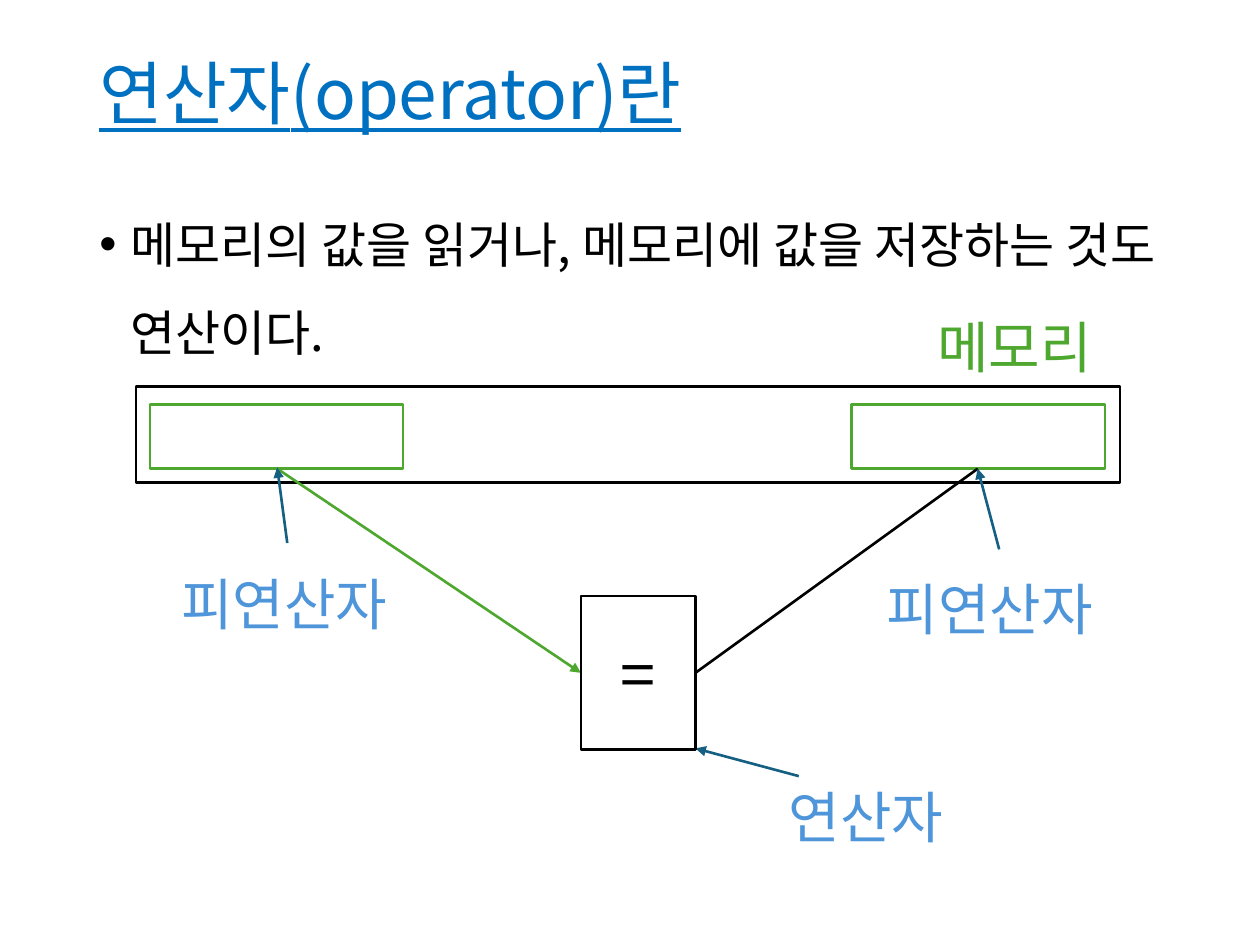
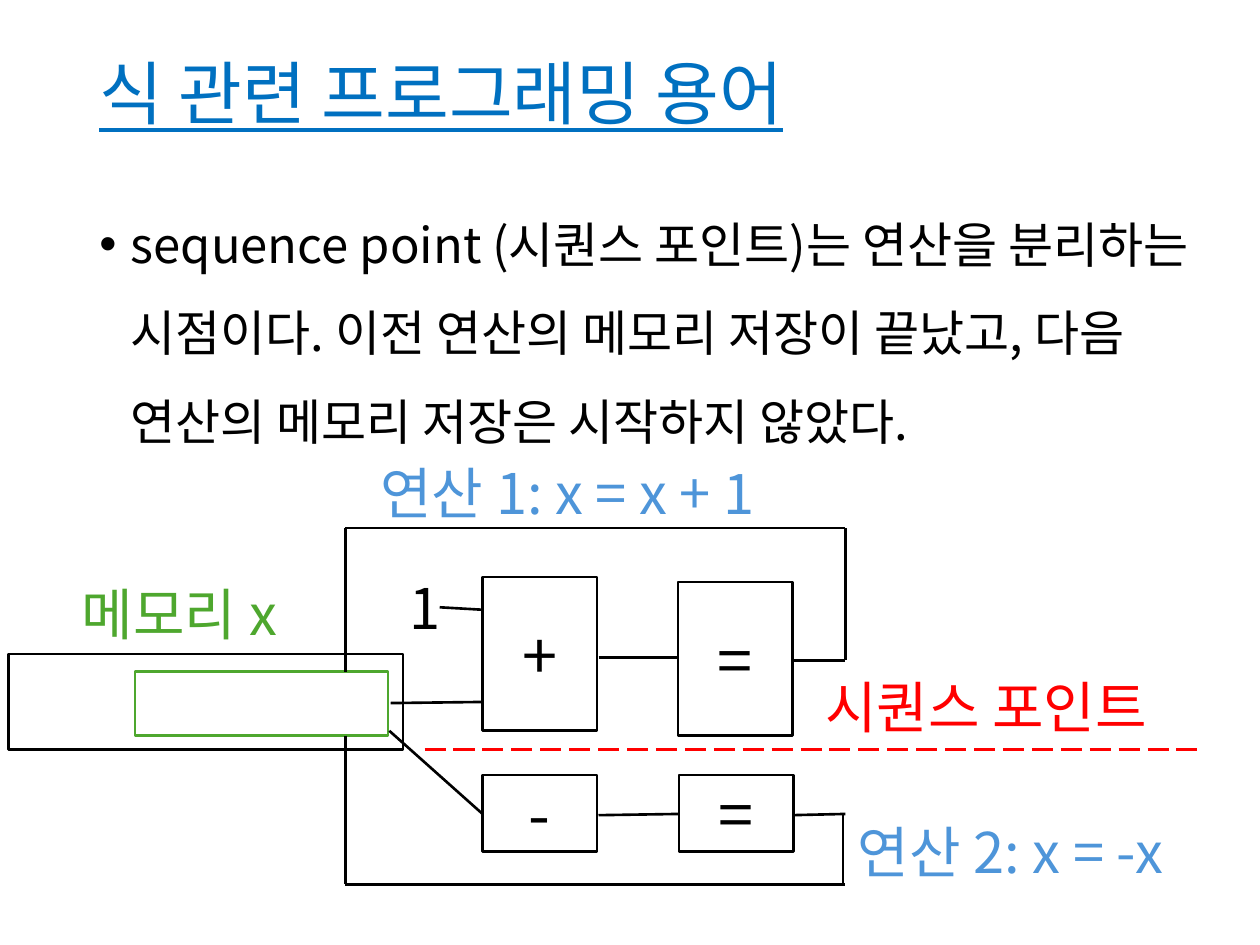
"""Build two slides explaining operators, operands and sequence points."""
import pptx
import pptx.dml.color
import pptx.enum.dml
import pptx.enum.shapes
import pptx.enum.text
import pptx.oxml.ns
import pptx.util
from lxml import etree
from pptx.util import Inches, Pt

RGBColor = pptx.dml.color.RGBColor
ANCHOR = pptx.enum.text.MSO_ANCHOR
qn = pptx.oxml.ns.qn

FONT = "Noto Sans CJK KR"
BLACK = RGBColor(0x00, 0x00, 0x00)
WHITE = RGBColor(0xFF, 0xFF, 0xFF)
TITLE_BLUE = RGBColor(0x00, 0x70, 0xC0)
LABEL_BLUE = RGBColor(0x4E, 0x95, 0xD9)
POINTER_BLUE = RGBColor(0x15, 0x60, 0x82)
GREEN = RGBColor(0x4E, 0xA7, 0x2E)
RED = RGBColor(0xFF, 0x00, 0x00)

CELL_SIZE = (2.01, 0.51)
MEMORY_HEIGHT = 0.76
OPERATOR_WIDTH = 0.91
LABEL_HEIGHT = 0.64


def write(frame, text, size, colour):
    frame.text = text
    paragraph = frame.paragraphs[0]
    font = paragraph.runs[0].font
    font.name = FONT
    font.size = Pt(size)
    font.color.rgb = colour
    east_asian = etree.SubElement(paragraph.runs[0]._r.rPr, qn("a:ea"))
    east_asian.set("typeface", FONT)
    return paragraph


def draw_box(slide, left, top, width, height, outline, filled):
    box = slide.shapes.add_shape(
        pptx.enum.shapes.MSO_SHAPE.RECTANGLE,
        Inches(left), Inches(top), Inches(width), Inches(height))
    box.shadow.inherit = False
    if filled:
        box.fill.solid()
        box.fill.fore_color.rgb = WHITE
    else:
        box.fill.background()
    box.line.color.rgb = outline
    box.line.width = Pt(1.5)
    return box


topics = [
    {
        "title": "연산자(operator)란",
        "point": "메모리의 값을 읽거나, 메모리에 값을 저장하는 것도 연산이다.",
        "memory": (1.08, 3.07, 7.81),
        "cells": [(1.19, 3.21), (6.76, 3.21)],
        "operators": [("=", 4.61, 4.73, 1.22)],
        "wires": [((5.52, 5.34), (7.76, 3.72))],
        "arrows": [
            ((2.2, 3.72), (4.61, 5.34), GREEN),
            ((6.34, 6.16), (5.52, 5.94), POINTER_BLUE),
            ((7.93, 4.36), (7.76, 3.72), POINTER_BLUE),
            ((2.28, 4.31), (2.2, 3.71), POINTER_BLUE),
        ],
        "dividers": [],
        "labels": [
            ("피연산자", 1.34, 4.47, 2, LABEL_BLUE),
            ("피연산자", 6.94, 4.51, 2, LABEL_BLUE),
            ("연산자", 6.16, 6.16, 1.55, LABEL_BLUE),
            ("메모리", 7.34, 2.43, 1.55, GREEN),
        ],
    },
    {
        "title": "식 관련 프로그래밍 용어",
        "point": "sequence point (시퀀스 포인트)는 연산을 분리하는 시점이다. "
                 "이전 연산의 메모리 저장이 끝났고, 다음 연산의 메모리 저장은 "
                 "시작하지 않았다.",
        "memory": (0.07, 5.19, 3.13),
        "cells": [(1.07, 5.33)],
        "operators": [
            ("+", 3.83, 4.58, 1.22), ("=", 5.38, 4.62, 1.22),
            ("-", 3.83, 6.15, 0.61), ("=", 5.39, 6.15, 0.61),
        ],
        "wires": [
            ((3.1, 5.58), (3.94, 5.57)), ((3.49, 4.82), (3.84, 4.84)),
            ((4.75, 5.22), (5.39, 5.22)), ((6.29, 5.24), (6.71, 5.24)),
            ((6.71, 5.24), (6.71, 4.19)), ((2.74, 4.19), (6.71, 4.19)),
            ((2.74, 5.33), (2.74, 4.19)),
            ((3.09, 5.8), (3.83, 6.46)), ((4.75, 6.47), (5.39, 6.46)),
            ((6.28, 6.47), (6.71, 6.46)), ((6.69, 6.46), (6.69, 7.02)),
            ((2.74, 7.02), (6.71, 7.02)), ((2.74, 5.84), (2.74, 7.02)),
        ],
        "arrows": [],
        "dividers": [((3.37, 5.95), (9.5, 5.95))],
        "labels": [
            ("메모리 x", 0.55, 4.55, 1.91, GREEN),
            ("연산 1: x = x + 1", 2.92, 3.59, 3.68, LABEL_BLUE),
            ("1", 3.15, 4.5, 0.45, BLACK),
            ("시퀀스 포인트", 6.45, 5.29, 3.05, RED),
            ("연산 2: x = -x", 6.71, 6.44, 2.99, LABEL_BLUE),
        ],
    },
]

deck = pptx.Presentation()
deck.slide_width = Inches(10)
deck.slide_height = Inches(7.5)

for topic in topics:
    slide = deck.slides.add_slide(deck.slide_layouts[6])

    title = slide.shapes.add_textbox(
        Inches(0.69), Inches(0.4), Inches(9.03), Inches(0.74)).text_frame
    title.word_wrap = True
    title.vertical_anchor = ANCHOR.MIDDLE
    heading = write(title, topic["title"], 39.6, TITLE_BLUE)
    heading.line_spacing = 0.9
    heading.runs[0].font.underline = True

    body = slide.shapes.add_textbox(
        Inches(0.69), Inches(1.42), Inches(8.86), Inches(6.08)).text_frame
    body.word_wrap = True
    point = write(body, topic["point"], 28, BLACK)
    point.line_spacing = 1.5
    indents = point._p.get_or_add_pPr()
    indents.set("marL", str(Inches(0.25)))
    indents.set("indent", str(-Inches(0.25)))
    etree.SubElement(indents, qn("a:buFont")).set("typeface", "Arial")
    etree.SubElement(indents, qn("a:buChar")).set("char", "•")

    left, top, width = topic["memory"]
    draw_box(slide, left, top, width, MEMORY_HEIGHT, BLACK, True)
    for left, top in topic["cells"]:
        draw_box(slide, left, top, *CELL_SIZE, GREEN, False)

    links = [(*wire, BLACK, False, False) for wire in topic["wires"]]
    links += [(*arrow, True, False) for arrow in topic["arrows"]]
    links += [(*divider, RED, False, True) for divider in topic["dividers"]]
    for start, end, colour, pointed, dashed in links:
        link = slide.shapes.add_connector(
            pptx.enum.shapes.MSO_CONNECTOR.STRAIGHT,
            *map(Inches, start), *map(Inches, end))
        link.line.color.rgb = colour
        link.line.width = Pt(1.5)
        if dashed:
            link.line.dash_style = pptx.enum.dml.MSO_LINE.LONG_DASH
        properties = link._element.spPr
        if pointed:
            outline = properties.find(qn("a:ln"))
            etree.SubElement(outline, qn("a:tailEnd")).set("type", "triangle")
        etree.SubElement(properties, qn("a:effectLst"))

    for symbol, left, top, height in topic["operators"]:
        operator = draw_box(
            slide, left, top, OPERATOR_WIDTH, height, BLACK, True).text_frame
        operator.vertical_anchor = ANCHOR.MIDDLE
        sign = write(operator, symbol, 36, BLACK)
        sign.alignment = pptx.enum.text.PP_ALIGN.CENTER

    for text, left, top, width, colour in topic["labels"]:
        label = slide.shapes.add_textbox(
            Inches(left), Inches(top), Inches(width),
            Inches(LABEL_HEIGHT)).text_frame
        label.word_wrap = False
        label.auto_size = pptx.enum.text.MSO_AUTO_SIZE.SHAPE_TO_FIT_TEXT
        write(label, text, 32, colour)

deck.save("out.pptx")
